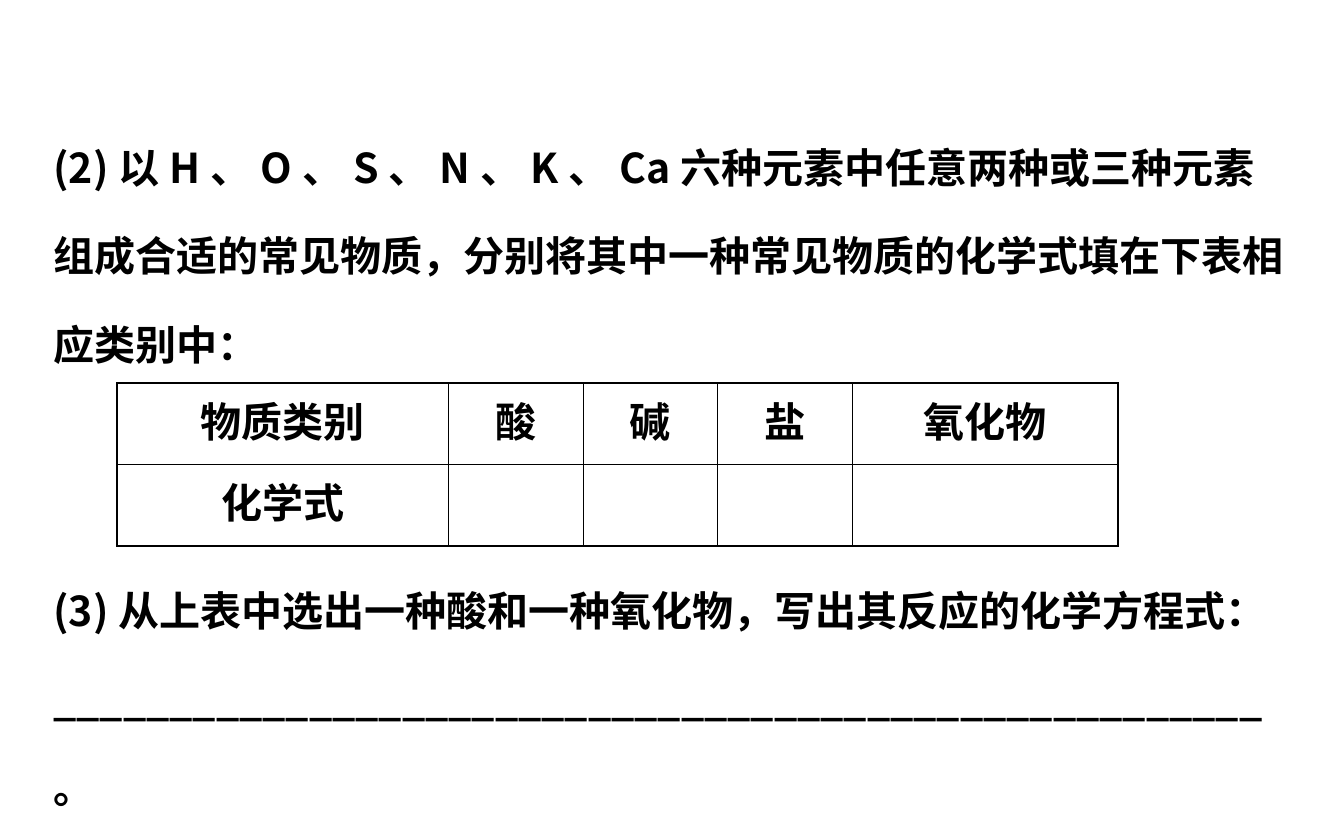
from dataclasses import dataclass

import lxml.etree
import pptx
import pptx.dml.color
import pptx.enum.text
import pptx.oxml.ns
import pptx.util
from pptx.util import Cm, Pt

COLORS = {"ink": "000000", "paper": "FFFFFF"}
FONT = "Noto Sans CJK SC"
SIZE = Pt(22)
LINE = Pt(47.5)
THICK, THIN = Pt(0.96), Pt(0.45)
BLANK_LENGTH = 52


@dataclass
class Question:
    text: str
    lines_before: int


@dataclass
class Column:
    width: float
    cells: tuple[str, str]


QUESTIONS = [
    Question("(2)以H、O、S、N、K、Ca六种元素中任意两种或三种元素组成合适的常见物质，"
             "分别将其中一种常见物质的化学式填在下表相应类别中：", 0),
    Question("(3)从上表中选出一种酸和一种氧化物，写出其反应的化学方程式："
             + "_" * BLANK_LENGTH + "。", 2),
]
COLUMNS = [
    Column(6.27, ("物质类别", "化学式")),
    Column(2.54, ("酸", "")),
    Column(2.54, ("碱", "")),
    Column(2.54, ("盐", "")),
    Column(5.03, ("氧化物", "")),
]
ROW_HEIGHT = 1.54


def add_xml(parent, tag: str, **attributes: str):
    return lxml.etree.SubElement(parent, pptx.oxml.ns.qn(tag), attributes)


def format_runs(p) -> None:
    for r in p.runs:
        r.font.size = SIZE
        r.font.bold = True
        r.font.name = FONT
        r.font.color.rgb = pptx.dml.color.RGBColor.from_string(COLORS["ink"])
        add_xml(r.font._element, "a:ea", typeface=FONT)


def add_questions(s, questions: list[Question]) -> None:
    box = s.shapes.add_textbox(Cm(0.76), Cm(1.73), Cm(23.95), Cm(11.99))
    tf = box.text_frame
    tf.word_wrap = True
    tf.auto_size = pptx.enum.text.MSO_AUTO_SIZE.SHAPE_TO_FIT_TEXT
    tf.margin_top = Pt(6)
    for i, question in enumerate(questions):
        p = tf.add_paragraph() if i else tf.paragraphs[0]
        p.text = question.text
        p.line_spacing = LINE
        if question.lines_before:
            p.space_before = LINE * question.lines_before
        format_runs(p)


def set_borders(cell, widths: dict[str, int]) -> None:
    """Draw the cell's borders; the keys are L, R, T and B."""
    properties = cell._tc.get_or_add_tcPr()
    for side, width in widths.items():
        line = add_xml(properties, f"a:ln{side}", w=str(int(width)))
        fill = add_xml(line, "a:solidFill")
        add_xml(fill, "a:srgbClr", val=COLORS["ink"])


def add_substance_table(s, columns: list[Column]) -> None:
    n_rows, n_cols = len(columns[0].cells), len(columns)
    width = Cm(sum(column.width for column in columns))
    frame = s.shapes.add_table(n_rows, n_cols, Cm(2.21), Cm(7.24),
                               width, Cm(ROW_HEIGHT * n_rows))
    table = frame.table
    table.first_row = table.horz_banding = False
    for j, column in enumerate(columns):
        table.columns[j].width = Cm(column.width)
        for i, text in enumerate(column.cells):
            cell = table.cell(i, j)
            set_borders(cell, {
                "L": THICK if j == 0 else THIN,
                "R": THICK if j == n_cols - 1 else THIN,
                "T": THICK if i == 0 else THIN,
                "B": THICK if i == n_rows - 1 else THIN,
            })
            cell.fill.background()
            p = cell.text_frame.paragraphs[0]
            p.text = text
            p.alignment = pptx.enum.text.PP_ALIGN.CENTER
            format_runs(p)


def main() -> None:
    prs = pptx.Presentation()
    prs.slide_width, prs.slide_height = Cm(25.4), Cm(15.875)
    s = prs.slides.add_slide(prs.slide_layouts[6])
    s.background.fill.solid()
    s.background.fill.fore_color.rgb = pptx.dml.color.RGBColor.from_string(
        COLORS["paper"])
    add_questions(s, QUESTIONS)
    add_substance_table(s, COLUMNS)
    prs.save("out.pptx")


if __name__ == "__main__":
    main()
